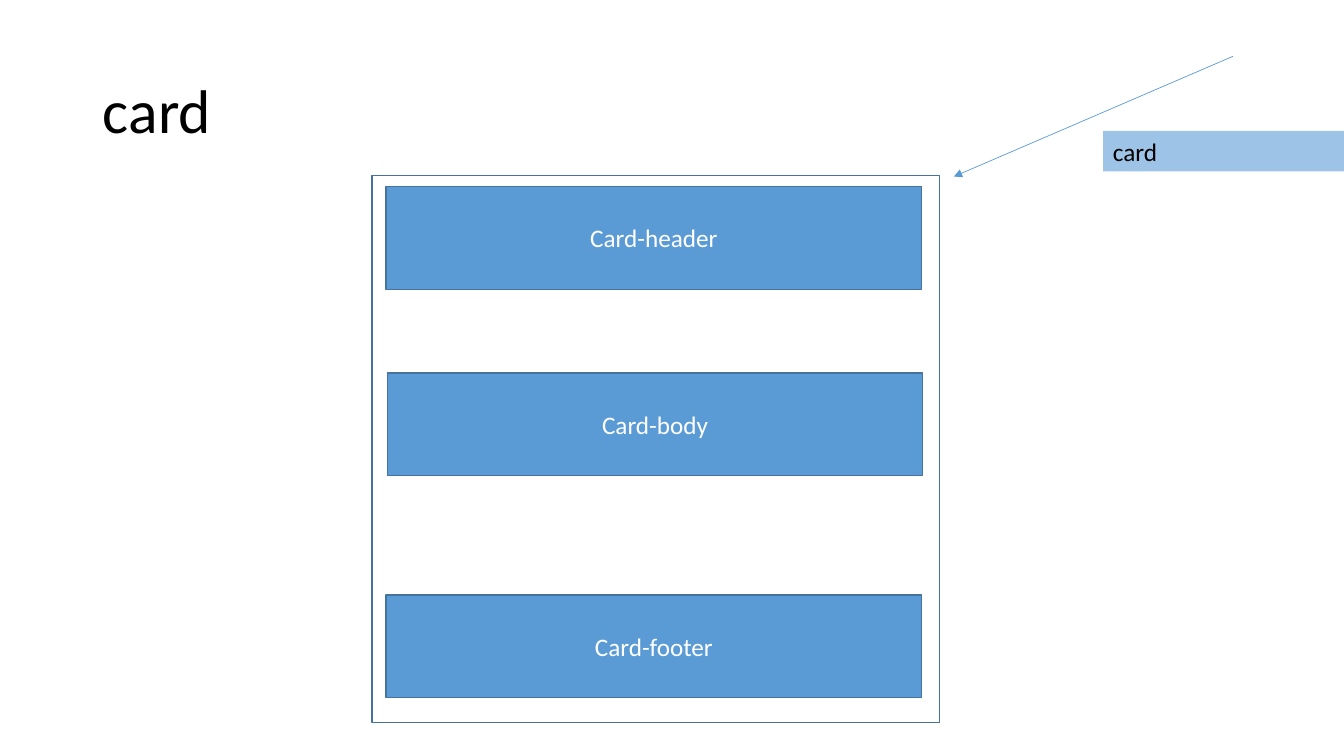
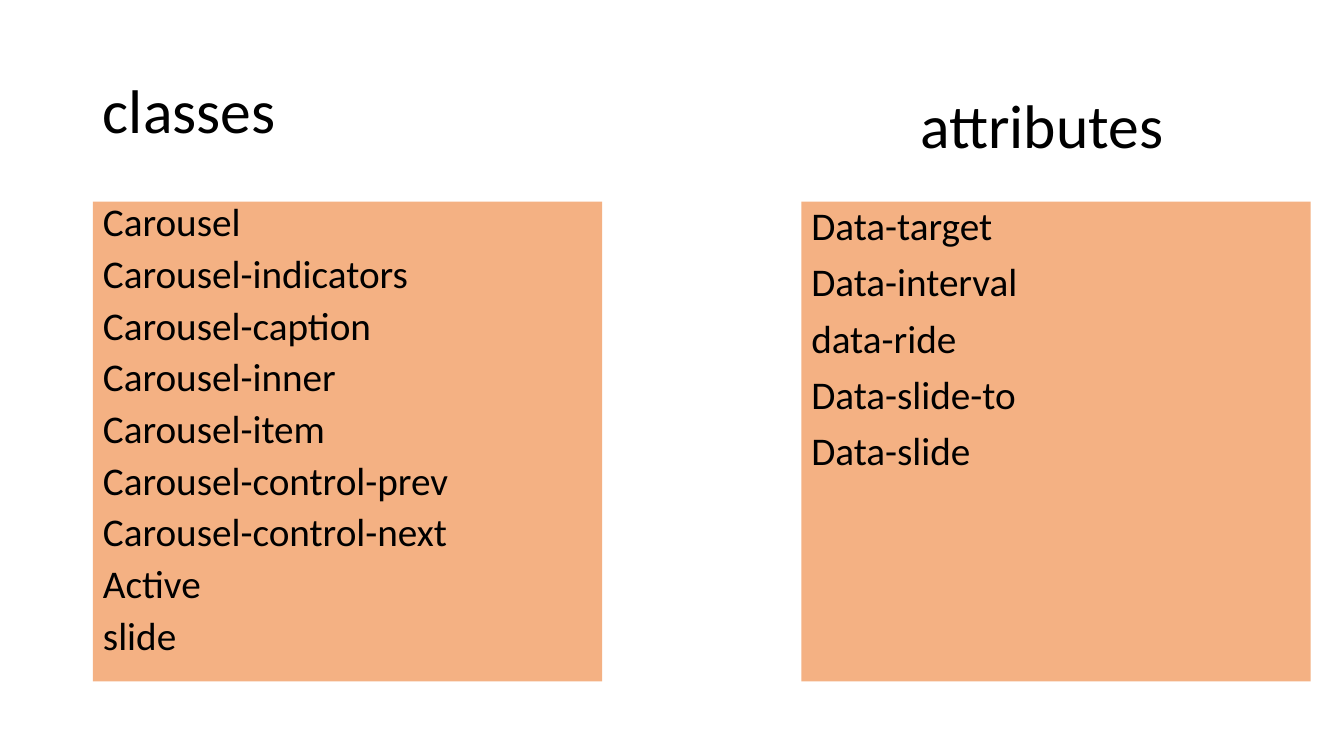
from pptx import Presentation
from pptx import util as u
from pptx.dml.color import RGBColor
from pptx.enum import shapes, text
from pptx.oxml import ns
from lxml import etree

COLORS = {
    "text": "000000",
    "white": "FFFFFF",
    "blue": "5B9BD5",
    "edge": "43739E",
    "label": "9DC3E6",
    "panel": "F4B183",
}


def color(name):
    return RGBColor.from_string(COLORS[name])


def set_text(sp, lines, size=18, fill="text", align=text.PP_ALIGN.LEFT,
             anchor=text.MSO_ANCHOR.MIDDLE, spacing=1.0, before=0):
    tf = sp.text_frame
    tf.word_wrap = True
    tf.auto_size = text.MSO_AUTO_SIZE.NONE
    tf.vertical_anchor = anchor
    for i, line in enumerate(lines):
        p = tf.paragraphs[0] if i == 0 else tf.add_paragraph()
        p.alignment = align
        p.line_spacing = spacing
        p.space_before = u.Pt(before)
        pPr = p._p.get_or_add_pPr()
        pPr.set("marL", "0")
        pPr.set("indent", "0")
        etree.SubElement(pPr, ns.qn("a:buNone"))
        r = p.add_run()
        r.text = line
        r.font.name = "Calibri"
        r.font.size = u.Pt(size)
        r.font.color.rgb = color(fill)


class Deck:
    HEADING = dict(size=44, spacing=0.9)
    LIST = dict(size=28, before=10, anchor=text.MSO_ANCHOR.TOP)

    def __init__(self):
        self.prs = Presentation()
        self.prs.slide_width = u.Cm(33.86)
        self.prs.slide_height = u.Cm(19.05)
        self.s = None

    def slide(self, layout):
        self.s = self.prs.slides.add_slide(self.prs.slide_layouts[layout])

    def place(self, sp, box):
        sp.left, sp.top, sp.width, sp.height = (u.Cm(v) for v in box)

    def title(self, words, box):
        sp = self.s.shapes.title
        self.place(sp, box)
        set_text(sp, [words], **self.HEADING)

    def heading(self, words, box):
        sp = self.s.shapes.add_textbox(*(u.Cm(v) for v in box))
        set_text(sp, [words], **self.HEADING)

    def rect(self, box, fill=None, line=None):
        sp = self.s.shapes.add_shape(shapes.MSO_SHAPE.RECTANGLE,
                                     *(u.Cm(v) for v in box))
        sp.shadow.inherit = False
        if fill:
            sp.fill.solid()
            sp.fill.fore_color.rgb = color(fill)
        else:
            sp.fill.background()
        if line:
            sp.line.color.rgb = color(line)
            sp.line.width = u.Pt(1)
        else:
            sp.line.fill.background()
        return sp

    def body(self, lines, box, spacing):
        sp = self.s.placeholders[1]
        self.place(sp, box)
        sp.fill.solid()
        sp.fill.fore_color.rgb = color("panel")
        set_text(sp, lines, spacing=spacing, **self.LIST)

    def panel(self, lines, box, spacing):
        set_text(self.rect(box, "panel"), lines, spacing=spacing, **self.LIST)

    def arrow(self, x1, y1, x2, y2):
        sp = self.s.shapes.add_connector(shapes.MSO_CONNECTOR.STRAIGHT,
                                         *(u.Cm(v) for v in (x1, y1, x2, y2)))
        sp.line.color.rgb = color("blue")
        sp.line.width = u.Pt(0.5)
        ln = sp.line._get_or_add_ln()
        etree.SubElement(ln, ns.qn("a:tailEnd"), type="triangle")
        etree.SubElement(sp._element.spPr, ns.qn("a:effectLst"))


def card_slide(deck):
    deck.slide(5)
    deck.title("card", (2.34, 1.02, 29.21, 3.68))
    deck.rect((9.37, 4.42, 14.3, 13.79), line="edge")
    for words, left, top in (("Card-header", 9.73, 4.7),
                             ("Card-body", 9.76, 9.4),
                             ("Card-footer", 9.73, 14.99)):
        sp = deck.rect((left, top, 13.49, 2.59), "blue", "edge")
        set_text(sp, [words], fill="white", align=text.PP_ALIGN.CENTER)
    deck.arrow(31.06, 1.42, 24.03, 4.45)
    label = deck.rect((27.79, 3.3, 6.07, 1.02), "label")
    set_text(label, ["card"], anchor=text.MSO_ANCHOR.TOP)


def carousel_slide(deck):
    top, width, height = 5.08, 12.83, 12.09
    deck.slide(1)
    deck.title("classes", (2.34, 1.02, 5.28, 3.68))
    deck.body(["Carousel", "Carousel-indicators", "Carousel-caption",
               "Carousel-inner", "Carousel-item", "Carousel-control-prev",
               "Carousel-control-next", "Active", "slide"],
              (2.34, top, width, height), 0.8)
    deck.panel(["Data-target", "Data-interval", "data-ride",
                "Data-slide-to", "Data-slide"],
               (20.19, top, width, height), 0.9)
    deck.heading("attributes", (22.94, 1.4, 7.49, 3.68))


def main():
    deck = Deck()
    card_slide(deck)
    carousel_slide(deck)
    deck.prs.save("out.pptx")


if __name__ == "__main__":
    main()
